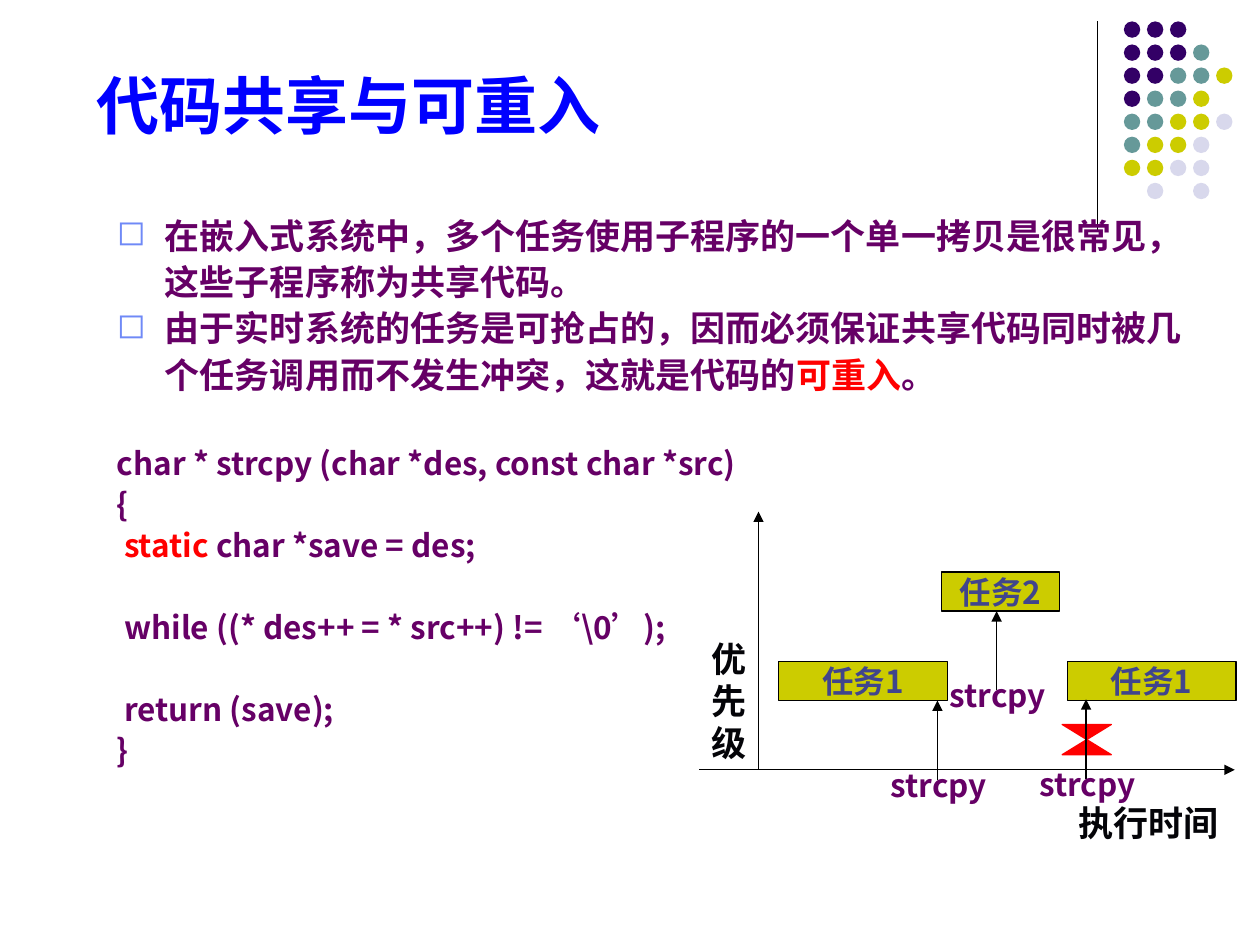
"""Build a slide on shared code and reentrancy, with a task priority diagram."""
from lxml import etree
from pptx import Presentation
from pptx.dml.color import RGBColor
from pptx.enum.shapes import MSO_CONNECTOR, MSO_SHAPE
from pptx.enum.text import MSO_ANCHOR, PP_ALIGN
from pptx.oxml.ns import qn
from pptx.util import Inches, Pt

STRAIGHT = MSO_CONNECTOR.STRAIGHT
OVAL, RECTANGLE, COLLATE = MSO_SHAPE.OVAL, MSO_SHAPE.RECTANGLE, MSO_SHAPE.FLOWCHART_COLLATE
TOP, MIDDLE, BOTTOM = MSO_ANCHOR.TOP, MSO_ANCHOR.MIDDLE, MSO_ANCHOR.BOTTOM
LEFT, CENTER = PP_ALIGN.LEFT, PP_ALIGN.CENTER
SANS, COMIC, CJK = "Lato", "Comic Neue", "Noto Sans CJK SC"
PURPLE, RED, BLACK, OLIVE = "660066", "FF0000", "000000", "CCCC00"


def color(target, value):
    if hasattr(target, "solid"):
        target.solid()
        target = target.fore_color
    target.rgb = RGBColor.from_string(value)


def write(paragraph, runs, size, font):
    for text, value in runs:
        run = paragraph.add_run()
        run.text = text
        for name, setting in {"size": Pt(size), "name": font, "bold": True}.items():
            setattr(run.font, name, setting)
        color(run.font.color, value)


presentation = Presentation()
presentation.slide_width, presentation.slide_height = Inches(10), Inches(7.5)
slide = presentation.slides.add_slide(presentation.slide_layouts[6])
shapes = slide.shapes
column = presentation.slide_width / 100
row = presentation.slide_height / 75

dot_colors = {"P": "330066", "T": "669999", "O": OLIVE, "L": "D8D8EC"}
dot_rows = ["PPP", "PPPT", "PPTTO", "PTTO", "TTOOL", "TOOL", "OOLL", " L L"]
marks = [
    (OVAL, 89.2 + 1.83 * across, 1.7 + 1.83 * down, 1.3, 1.3, dot_colors[key], None)
    for down, keys in enumerate(dot_rows)
    for across, key in enumerate(keys)
    if key != " "
]
marks.append((COLLATE, 84.3, 57.5, 3.9, 2.4, RED, RED))
tasks = [("任务1", 61.8, 52.5, 13.4), ("任务2", 74.7, 45.4, 9.4), ("任务1", 84.7, 52.5, 13.4)]
marks += [(RECTANGLE, x, y, width, 3.1, OLIVE, BLACK) for _, x, y, width in tasks]
for kind, x, y, width, height, fill, line in marks:
    shape = shapes.add_shape(
        kind, int(x * column), int(y * row), int(width * column), int(height * row))
    shape.shadow.inherit = False
    color(shape.fill, fill)
    if line:
        color(shape.line.fill, line)
        shape.line.width = Pt(0.75)
    else:
        shape.line.fill.background()

lines = [
    (87.1, 1.7, 87.1, 18.3, False),
    (55.5, 61.1, 98, 61.1, True),
    (60.2, 61.1, 60.2, 40.6, True),
    (74.4, 61.9, 74.4, 55.6, True),
    (79.1, 54.8, 79.1, 48.5, True),
    (86.2, 61.8, 86.2, 55.5, True),
]
for x1, y1, x2, y2, arrow in lines:
    connector = shapes.add_connector(
        STRAIGHT, int(x1 * column), int(y1 * row), int(x2 * column), int(y2 * row))
    color(connector.line.fill, BLACK)
    connector.line.width = Pt(0.75)
    if arrow:
        etree.SubElement(connector.line._get_or_add_ln(), qn("a:tailEnd"), type="triangle")
    etree.SubElement(connector._element.spPr, qn("a:effectLst"))

labels = [
    ("代码共享与可重入", 6.7, 2.8, 90, 9, 36, SANS, "0000FF", BOTTOM, LEFT, True),
    ("执行时间", 84.6, 63.1, 13.2, 4.3, 20, SANS, "040408", TOP, LEFT, False),
    ("优先级", 55.5, 50.1, 6.3, 11, 20, SANS, "040408", TOP, LEFT, True),
]
labels += [
    ("strcpy", x, y, 10.2, 4, 18, CJK, PURPLE, TOP, LEFT, True)
    for x, y in [(69.7, 60.3), (74.4, 53.2), (81.5, 60.2)]
]
labels += [
    (text, x, y, width, 3.1, 18, CJK, "40458C", MIDDLE, CENTER, False)
    for text, x, y, width in tasks
]
for text, x, y, width, height, size, font, value, anchor, align, wrap in labels:
    box = shapes.add_textbox(
        int(x * column), int(y * row), int(width * column), int(height * row))
    frame = box.text_frame
    frame.word_wrap, frame.vertical_anchor = wrap, anchor
    frame.paragraphs[0].alignment = align
    write(frame.paragraphs[0], [(text, value)], size, font)

body = shapes.add_textbox(
    int(8.3 * column), int(16.2 * row), int(86.8 * column), int(46 * row)).text_frame
body.word_wrap = True
bullets = [
    [("在嵌入式系统中，多个任务使用子程序的一个单一拷贝是很常见，这些子程序称为共享代码。", PURPLE)],
    [("由于实时系统的任务是可抢占的，因而必须保证共享代码同时被几个任务调用而不发生冲突，这就是代码的", PURPLE),
     ("可重入", RED), ("。", PURPLE)],
]
code = [
    ([("char * strcpy (char *des, const char *src)", PURPLE)], 28.2),
    ([("{", PURPLE)], 1.8),
    ([(" ", PURPLE), ("static", RED), (" char *save = des;", PURPLE)], 1.8),
    ([(" while ((* des++ = * src++) != ‘\\0’);", PURPLE)], 25.2),
    ([(" return (save);", PURPLE)], 25.2),
    ([("}", PURPLE)], 1.8),
]
paragraphs = [(runs, 0, 20, COMIC, 1.1, True) for runs in bullets]
paragraphs += [(runs, before, 18, CJK, Pt(21.6), False) for runs, before in code]
for number, (runs, before, size, font, spacing, bullet) in enumerate(paragraphs):
    paragraph = body.add_paragraph() if number else body.paragraphs[0]
    paragraph.line_spacing = spacing
    if before:
        paragraph.space_before = Pt(before)
    properties = paragraph._p.get_or_add_pPr()
    properties.set("marL", str(int(3.8 * column)))
    properties.set("indent", str(int(-3.8 * column)))
    if bullet:
        bullet_color = etree.SubElement(properties, qn("a:buClr"))
        etree.SubElement(bullet_color, qn("a:srgbClr"), val="6F89F7")
        etree.SubElement(properties, qn("a:buChar"), char="◻")
    write(paragraph, runs, size, font)

presentation.save("out.pptx")
